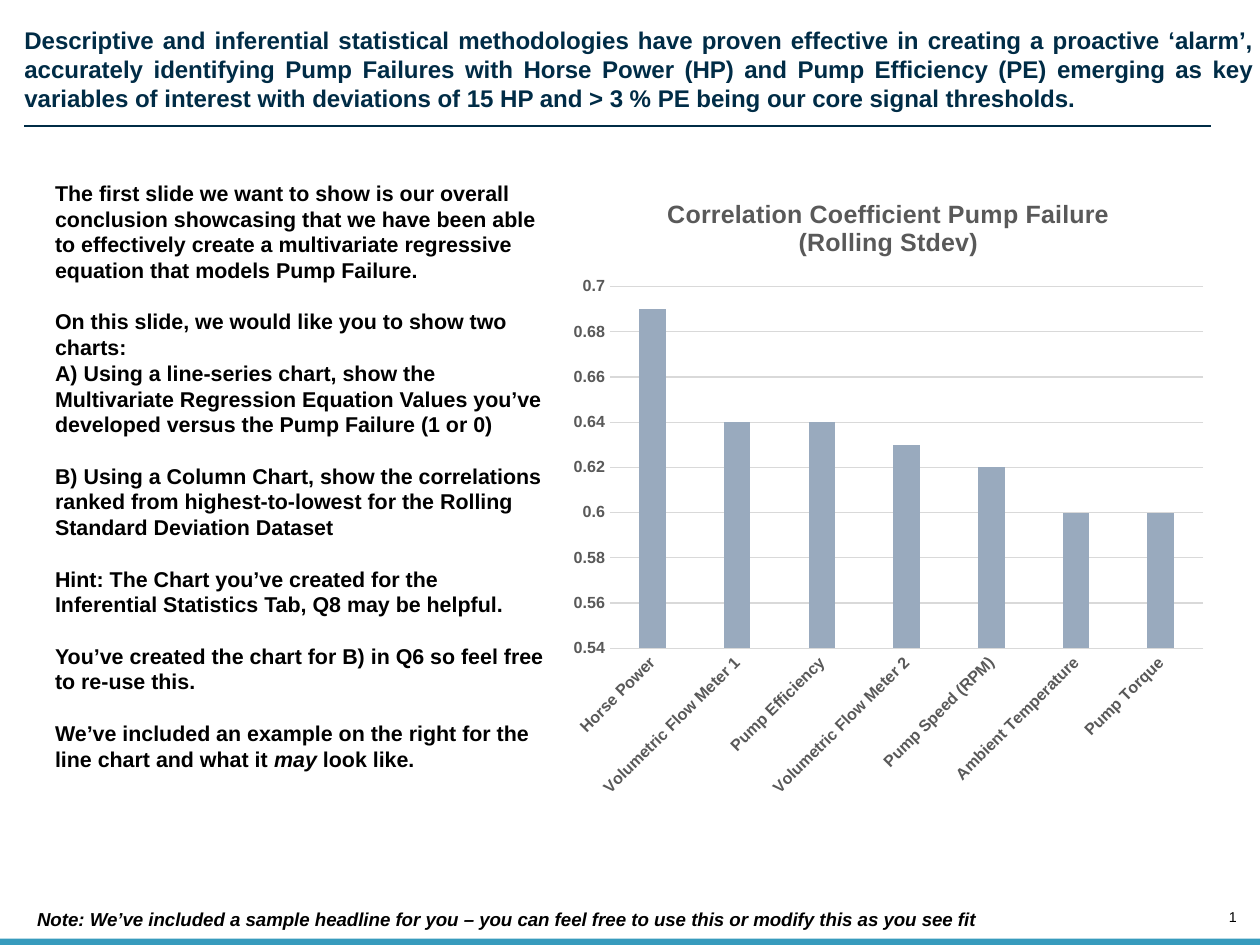
from dataclasses import dataclass

from lxml import etree
from pptx import Presentation
from pptx.chart.data import CategoryChartData
from pptx.dml.color import RGBColor
from pptx.enum.chart import XL_CHART_TYPE as ChartType, XL_TICK_MARK as Tick
from pptx.enum.shapes import MSO_CONNECTOR as Connector, MSO_SHAPE as Shape
from pptx.enum.text import MSO_ANCHOR as Anchor, MSO_AUTO_SIZE as AutoSize, PP_ALIGN as Align
from pptx.oxml.ns import qn
from pptx.util import Inches, Pt


@dataclass(frozen=True)
class Theme:
    """Font, colours and type sizes of the slide."""
    font: str = "Arial"
    navy: str = "002C46"
    teal: str = "379BBD"
    black: str = "000000"
    grey: str = "595959"
    grid: str = "D9D9D9"
    bar: str = "99AABE"
    headline: float = 13.5
    chart_title: float = 14
    body: float = 12
    note: float = 10.5
    axis: float = 9
    number: float = 8
    rule: float = 0.75
    gap: float = 14.4


T = Theme()

HEADLINE = (
    "Descriptive and inferential statistical methodologies have proven effective in creating a "
    "proactive ‘alarm’, accurately identifying Pump Failures with Horse Power (HP) and Pump "
    "Efficiency (PE) emerging as key variables of interest with deviations of 15 HP and > 3 % PE "
    "being our core signal thresholds."
)
BRIEF = [
    ["The first slide we want to show is our overall conclusion showcasing that we have been able "
     "to effectively create a multivariate regressive equation that models Pump Failure."],
    ["On this slide, we would like you to show two charts:"],
    ["A) Using a line-series chart, show the Multivariate Regression Equation Values you’ve "
     "developed versus the Pump Failure (1 or 0)"],
    ["B) Using a Column Chart, show the correlations ranked from highest-to-lowest for the Rolling "
     "Standard Deviation Dataset"],
    ["Hint: The Chart you’ve created for the Inferential Statistics Tab, Q8 may be helpful."],
    ["You’ve created the chart for B) in Q6 so feel free to re-use this."],
    ["We’ve included an example on the right for the line chart and what it ", "may", " look like."],
]
NOTE = ("Note: We’ve included a sample headline for you – you can feel free to use this or modify "
        "this as you see fit")
CORRELATIONS = {
    "Horse Power": 0.69,
    "Volumetric Flow Meter 1": 0.64,
    "Pump Efficiency": 0.64,
    "Volumetric Flow Meter 2": 0.63,
    "Pump Speed (RPM)": 0.62,
    "Ambient Temperature": 0.6,
    "Pump Torque": 0.6,
}


def rgb(value):
    """Turn a hex string into a colour."""
    return RGBColor.from_string(value)


def style_font(font, size, color, bold=True, italic=False):
    """Apply the theme font with a size, colour and weight."""
    font.name, font.size = T.font, Pt(size)
    font.bold, font.italic = bold, italic
    font.color.rgb = rgb(color)


def add_run(p, text, size, color=T.black, bold=True, italic=False):
    """Append one styled run to a paragraph."""
    r = p.add_run()
    r.text = text
    style_font(r.font, size, color, bold, italic)


def set_frame(tf, anchor=Anchor.TOP, inset=True, wrap=True):
    """Set wrapping, anchoring and insets of a text frame."""
    tf.auto_size = AutoSize.NONE
    tf.word_wrap, tf.vertical_anchor = wrap, anchor
    if not inset:
        tf.margin_left = tf.margin_top = tf.margin_right = tf.margin_bottom = 0


def add_text_box(s, left, top, width, height, **frame):
    """Add a text box and return its text frame."""
    sp = s.shapes.add_textbox(Inches(left), Inches(top), Inches(width), Inches(height))
    set_frame(sp.text_frame, **frame)
    return sp.text_frame


def add_headline(s):
    """Place and fill the title placeholder."""
    sp = s.shapes.title
    sp.left, sp.top, sp.width, sp.height = Inches(0.19), Inches(0.2), Inches(9.56), Inches(0.68)
    set_frame(sp.text_frame, inset=False)
    p = sp.text_frame.paragraphs[0]
    p.alignment = Align.JUSTIFY
    p.line_spacing, p.space_before = 1.0, Pt(0)
    add_run(p, HEADLINE, T.headline, T.navy)


def add_rule(s):
    """Draw the thin line under the headline."""
    line = s.shapes.add_connector(
        Connector.STRAIGHT, Inches(0.19), Inches(0.98), Inches(9.42), Inches(0.98))
    line.line.color.rgb = rgb(T.navy)
    line.line.width = Pt(T.rule)
    etree.SubElement(line._element.spPr, qn("a:effectLst"))


def add_bottom_bar(s):
    """Draw the coloured band along the bottom edge."""
    sp = s.shapes.add_shape(Shape.RECTANGLE, 0, Inches(7.3), Inches(9.8), Inches(0.05))
    sp.shadow.inherit = False
    sp.fill.solid()
    sp.fill.fore_color.rgb = rgb(T.teal)
    sp.line.fill.background()


def add_brief(s):
    """Write the instructions, with a gap before each new block."""
    tf = add_text_box(s, 0.33, 1.35, 4.01, 4.95)
    for i, runs in enumerate(BRIEF):
        p = tf.paragraphs[0] if i == 0 else tf.add_paragraph()
        follows_intro = runs[0].startswith("A)")
        p.space_before = Pt(0 if i == 0 or follows_intro else T.gap)
        for text in runs:
            add_run(p, text, T.body, italic=text == "may")


def style_axis(axis):
    """Give an axis its font and remove its tick marks."""
    style_font(axis.tick_labels.font, T.axis, T.grey)
    axis.major_tick_mark = axis.minor_tick_mark = Tick.NONE


def style_line(line):
    """Make a chart line thin and light grey."""
    line.color.rgb = rgb(T.grid)
    line.width = Pt(T.rule)


def add_correlation_chart(s):
    """Add the ranked column chart of correlations."""
    data = CategoryChartData()
    data.categories = list(CORRELATIONS)
    data.add_series("Series 1", list(CORRELATIONS.values()))
    chart = s.shapes.add_chart(ChartType.COLUMN_CLUSTERED, Inches(4.36), Inches(1.35),
                               Inches(5.1), Inches(4.95), data).chart
    style_font(chart.font, 10, T.black, bold=False)
    chart.has_legend = False
    chart.has_title = True
    add_run(chart.chart_title.text_frame.paragraphs[0],
            "Correlation Coefficient Pump Failure (Rolling Stdev)", T.chart_title, T.grey)
    chart.chart_title.include_in_layout = False

    plot = chart.plots[0]
    plot.vary_by_categories = False
    plot.gap_width, plot.overlap = 219, -27
    fill = plot.series[0].format.fill
    fill.solid()
    fill.fore_color.rgb = rgb(T.bar)

    cats, vals = chart.category_axis, chart.value_axis
    style_axis(cats)
    style_line(cats.format.line)
    cats._element.find(qn("c:txPr")).find(qn("a:bodyPr")).set("rot", "-2700000")

    style_axis(vals)
    vals.minimum_scale, vals.maximum_scale, vals.major_unit = 0.54, 0.7, 0.02
    vals.tick_labels.number_format = "General"
    vals.tick_labels.number_format_is_linked = False
    vals.format.line.fill.background()
    style_line(vals.major_gridlines.format.line)


def add_footer(s):
    """Write the note and the slide number."""
    note = add_text_box(s, 0.19, 7.01, 8.58, 0.28)
    add_run(note.paragraphs[0], NOTE, T.note, italic=True)
    number = add_text_box(s, 9.48, 7.07, 0.14, 0.13, anchor=Anchor.BOTTOM, inset=False, wrap=False)
    number.paragraphs[0].alignment = Align.RIGHT
    add_run(number.paragraphs[0], "1", T.number, bold=False)


def main():
    """Build the slide and save it."""
    prs = Presentation()
    prs.slide_width, prs.slide_height = Inches(9.8), Inches(7.35)
    s = prs.slides.add_slide(prs.slide_layouts[5])
    add_bottom_bar(s)
    add_headline(s)
    add_rule(s)
    add_brief(s)
    add_correlation_chart(s)
    add_footer(s)
    prs.save("out.pptx")


if __name__ == "__main__":
    main()
